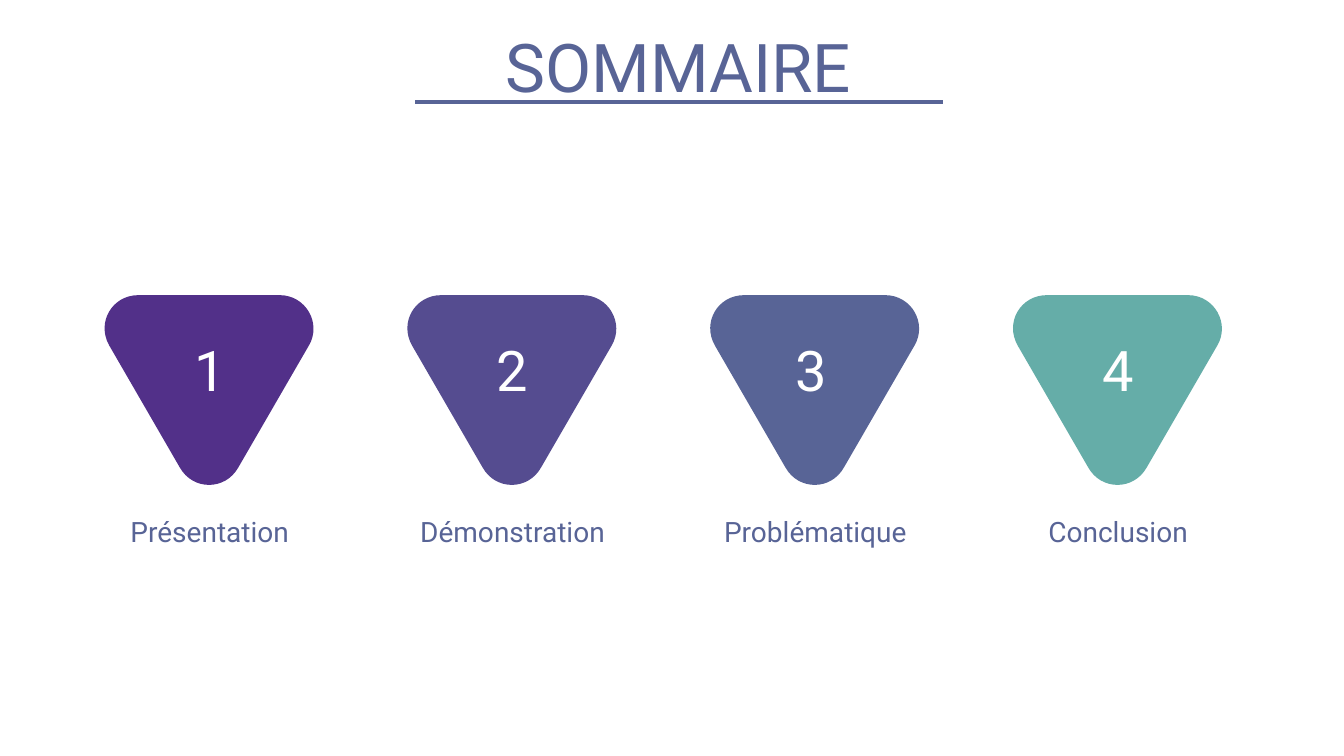
"""Build the SOMMAIRE slide: four numbered triangles with labels."""
from math import cos, radians, sin
from pptx import Presentation
from pptx.dml.color import RGBColor as Rgb
from pptx.enum.shapes import MSO_CONNECTOR as Link
from pptx.enum.text import MSO_ANCHOR as Anchor, PP_ALIGN as Align
from pptx.oxml.ns import qn
from pptx.util import Inches, Pt
from lxml.etree import SubElement

HUES = {"plum": "523089", "violet": "554C90", "slate": "586496",
        "teal": "65ADA8", "white": "FFFFFF"}
TITLE = "SOMMAIRE"
STEPS = [("Présentation", "plum", 0), ("Démonstration", "violet", 0),
         ("Problématique", "slate", -0.04), ("Conclusion", "teal", 0)]
FIRST, LAST = 2.07, 11.08
PITCH = (LAST - FIRST) / (len(STEPS) - 1)
TURN, PIVOT = 60, (0.2, 3.55)
CORNERS = [[(-0.7, 2.93), (-0.96, 2.93), (-1.12, 3.2), (-0.99, 3.43)],
           [(-0.29, 4.64), (-0.16, 4.87), (0.16, 4.87), (0.29, 4.64)],
           [(0.99, 3.43), (1.12, 3.21), (0.96, 2.93), (0.7, 2.93)]]


def put_text(slide, text, left, top, width, height, size, hue="slate",
             space=1.0, anchor=Anchor.TOP):
    box = slide.shapes.add_textbox(*map(Inches, (left, top, width, height)))
    frame = box.text_frame
    frame.word_wrap = True
    frame.vertical_anchor = anchor
    para = frame.paragraphs[0]
    para.text = text
    para.alignment = Align.CENTER
    para.line_spacing = space
    font = para.runs[0].font
    font.name, font.size = "Roboto", Pt(size)
    font.color.rgb = Rgb.from_string(HUES[hue])


def unturn(dot, mid):
    angle = radians(-TURN)
    x, y = dot[0] - PIVOT[0], dot[1] - PIVOT[1]
    return (Inches(mid + PIVOT[0] + x * cos(angle) - y * sin(angle)),
            Inches(PIVOT[1] + x * sin(angle) + y * cos(angle)))


def bend(shape):
    lines = list(shape._element.iter(qn("a:lnTo")))
    for i in range(0, len(lines), 3):
        arc = lines[i].makeelement(qn("a:cubicBezTo"))
        lines[i].addprevious(arc)
        for line in lines[i:i + 3]:
            arc.append(line[0])
            line.getparent().remove(line)


def put_tile(slide, mid, hue):
    dots = [unturn(dot, mid) for edge in CORNERS for dot in [edge[0]] * 3 + edge[1:]]
    outline = slide.shapes.build_freeform(*dots[-1])
    outline.add_line_segments(dots, close=False)
    tile = outline.convert_to_shape()
    bend(tile)
    tile.rotation = TURN
    tile.shadow.inherit = False
    tile.fill.solid()
    tile.fill.fore_color.rgb = Rgb.from_string(HUES[hue])
    tile.line.fill.background()


def put_rule(slide, left, right, y):
    rule = slide.shapes.add_connector(Link.STRAIGHT, *map(Inches, (left, y, right, y)))
    rule.line.color.rgb = Rgb.from_string(HUES["slate"])
    rule.line.width = Pt(3)
    SubElement(rule._element.spPr, qn("a:effectLst"))


def main():
    deck = Presentation()
    deck.slide_width, deck.slide_height = Inches(13.33), Inches(7.5)
    slide = deck.slides.add_slide(deck.slide_layouts[6])
    put_text(slide, TITLE, 3.88, 0.2, 5.7, 0.91, 48, anchor=Anchor.MIDDLE)
    put_rule(slide, 4.12, 9.35, 1.01)
    for i, (label, hue, nudge) in enumerate(STEPS):
        mid = FIRST + i * PITCH
        put_tile(slide, mid, hue)
        put_text(slide, label, mid - 1.28, 5.09, 2.58, 0.38, 20, space=0.9)
        put_text(slide, str(i + 1), mid - 0.48 + nudge, 3.36, 0.98, 0.37, 40,
                 hue="white", space=0.9)
    deck.save("out.pptx")


if __name__ == "__main__":
    main()
